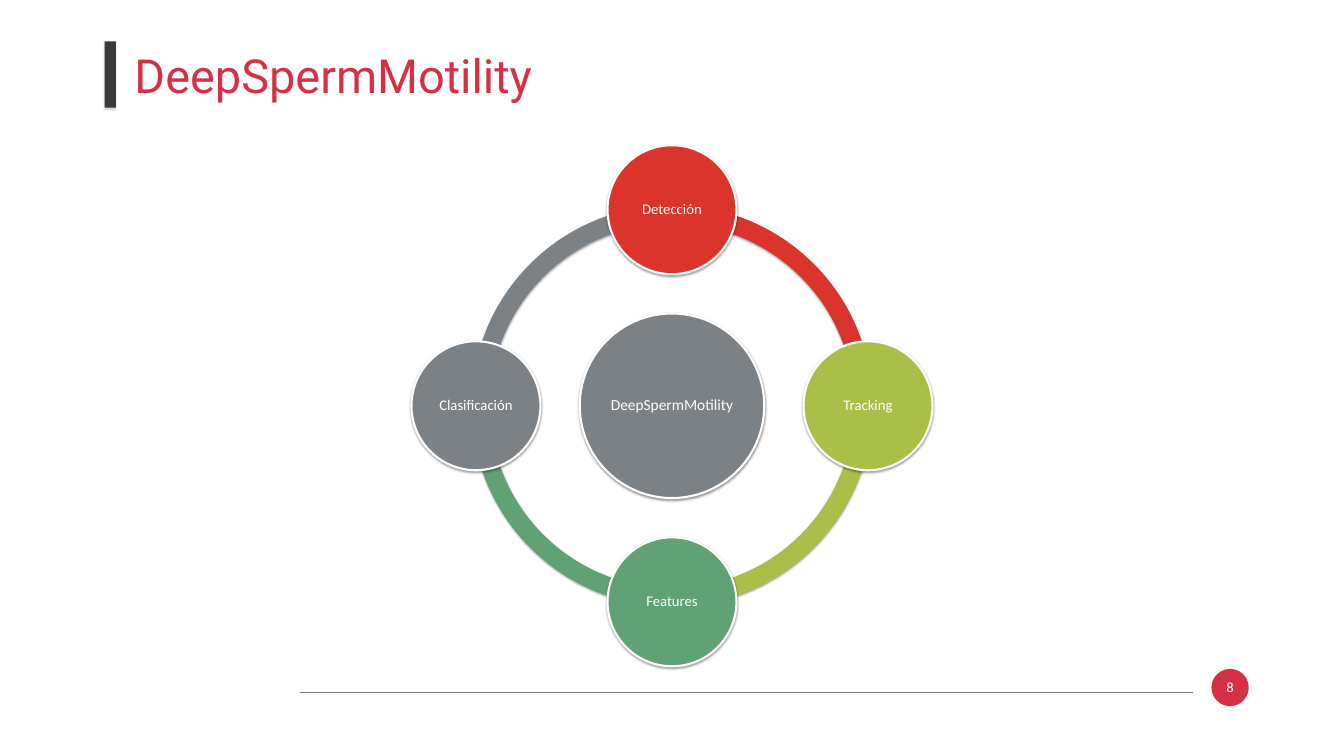
import math
from dataclasses import dataclass

from lxml import etree
from pptx import Presentation
from pptx.dml.color import RGBColor
from pptx.enum import shapes, text
from pptx.oxml.ns import qn
from pptx.util import Cm, Pt


@dataclass(frozen=True)
class Theme:
    accent: str = "D53044"
    bar: str = "3A3B39"
    rule: str = "737572"
    white: str = "FFFFFF"
    grey: str = "7C8185"
    red: str = "DB342D"
    lime: str = "AABF47"
    green: str = "61A275"
    heading_font: str = "Roboto"
    body_font: str = "Calibri"
    title_size: int = 67
    hub_size: int = 22
    stage_size: int = 21
    number_size: int = 19


@dataclass(frozen=True)
class Shadow:
    color: str = "000000"
    opacity: int = 38
    blur: float = 3.1
    distance: float = 1.6


@dataclass(frozen=True)
class Stage:
    label: str
    color: str
    angle: int  # degrees clockwise from the right


THEME = Theme()
STAGES = [
    Stage("Detección", THEME.red, 270),
    Stage("Tracking", THEME.lime, 0),
    Stage("Features", THEME.green, 90),
    Stage("Clasificación", THEME.grey, 180),
]

# Cycle geometry, in centimetres
CENTER_X, CENTER_Y = 33.87, 20.45
RING_DIAMETER = 20.22
RING_THICKNESS = 0.046
ORBIT = 9.88
HUB_DIAMETER = 9.3
STAGE_DIAMETER = 6.5


def add_shadow(shape, shadow: Shadow) -> None:
    shape.shadow.inherit = False
    effects = shape._element.spPr.find(qn("a:effectLst"))
    outer = etree.SubElement(
        effects, qn("a:outerShdw"), blurRad=str(Pt(shadow.blur)),
        dist=str(Pt(shadow.distance)), dir="5400000", rotWithShape="0")
    color = etree.SubElement(outer, qn("a:srgbClr"), val=shadow.color)
    etree.SubElement(color, qn("a:alpha"), val=str(shadow.opacity * 1000))


def add_filled(slide, kind, left: float, top: float, width: float,
               height: float, color: str, shadow: Shadow | None = None):
    shape = slide.shapes.add_shape(kind, Cm(left), Cm(top), Cm(width), Cm(height))
    shape.fill.solid()
    shape.fill.fore_color.rgb = RGBColor.from_string(color)
    shape.line.fill.background()
    shape.shadow.inherit = False
    if shadow:
        add_shadow(shape, shadow)
    return shape


def write(shape, content: str, size: int, font: str, color: str,
          align=text.PP_ALIGN.CENTER, anchor=text.MSO_ANCHOR.MIDDLE,
          inset_x: float = 0.08, inset_y: float = 0.08):
    frame = shape.text_frame
    frame.word_wrap = True
    frame.vertical_anchor = anchor
    frame.margin_left = frame.margin_right = Cm(inset_x)
    frame.margin_top = frame.margin_bottom = Cm(inset_y)
    paragraph = frame.paragraphs[0]
    paragraph.text = content
    paragraph.alignment = align
    paragraph.font.size = Pt(size)
    paragraph.font.name = font
    paragraph.font.color.rgb = RGBColor.from_string(color)
    return paragraph


def add_arc(slide, stage: Stage) -> None:
    """Draw the quarter ring from this stage to the next one."""
    arc = add_filled(
        slide, shapes.MSO_SHAPE.BLOCK_ARC, CENTER_X - RING_DIAMETER / 2,
        CENTER_Y - RING_DIAMETER / 2, RING_DIAMETER, RING_DIAMETER,
        stage.color, Shadow())
    # Angles count in 60000ths of a degree, adjustments in 100000ths
    arc.adjustments[0] = stage.angle * 0.6
    arc.adjustments[1] = (stage.angle + 90) % 360 * 0.6
    arc.adjustments[2] = RING_THICKNESS


def add_bubble(slide, x: float, y: float, diameter: float, color: str,
               label: str, size: int) -> None:
    bubble = add_filled(
        slide, shapes.MSO_SHAPE.OVAL, x - diameter / 2, y - diameter / 2,
        diameter, diameter, color, Shadow())
    bubble.line.color.rgb = RGBColor.from_string(THEME.white)
    bubble.line.width = Pt(3)
    write(bubble, label, size, THEME.body_font, THEME.white).line_spacing = 0.9


def add_footer(slide) -> None:
    badge = add_filled(slide, shapes.MSO_SHAPE.OVAL, 61.06, 33.71, 1.88, 1.88,
                       THEME.accent)
    write(badge, "8", THEME.number_size, THEME.heading_font, THEME.white,
          inset_x=0, inset_y=0)
    rule = slide.shapes.add_connector(
        shapes.MSO_CONNECTOR.STRAIGHT, Cm(15.11), Cm(34.88), Cm(60.15), Cm(34.88))
    rule.line.color.rgb = RGBColor.from_string(THEME.rule)
    rule.line.width = Pt(0.25)
    etree.SubElement(rule._element.spPr, qn("a:effectLst"))


def add_cycle(slide) -> None:
    for stage in reversed(STAGES):
        add_arc(slide, stage)
    add_bubble(slide, CENTER_X, CENTER_Y, HUB_DIAMETER, THEME.grey,
               "DeepSpermMotility", THEME.hub_size)
    for stage in STAGES:
        angle = math.radians(stage.angle)
        add_bubble(slide, CENTER_X + ORBIT * math.cos(angle),
                   CENTER_Y + ORBIT * math.sin(angle), STAGE_DIAMETER,
                   stage.color, stage.label, THEME.stage_size)


def add_title(slide) -> None:
    title = slide.shapes.add_textbox(Cm(6.53), Cm(2.24), Cm(56.64), Cm(3.12))
    write(title, "DeepSpermMotility", THEME.title_size, THEME.heading_font,
          THEME.accent, text.PP_ALIGN.LEFT, text.MSO_ANCHOR.TOP, 0.25, 0.13)
    add_filled(slide, shapes.MSO_SHAPE.RECTANGLE, 5.28, 2.08, 0.56, 3.35,
               THEME.bar, Shadow("808080", 35, 3.1, 1.8))


def main() -> None:
    deck = Presentation()
    deck.slide_width, deck.slide_height = Cm(67.74), Cm(38.1)
    slide = deck.slides.add_slide(deck.slide_layouts[6])
    add_footer(slide)
    add_cycle(slide)
    add_title(slide)
    deck.save("out.pptx")


if __name__ == "__main__":
    main()
